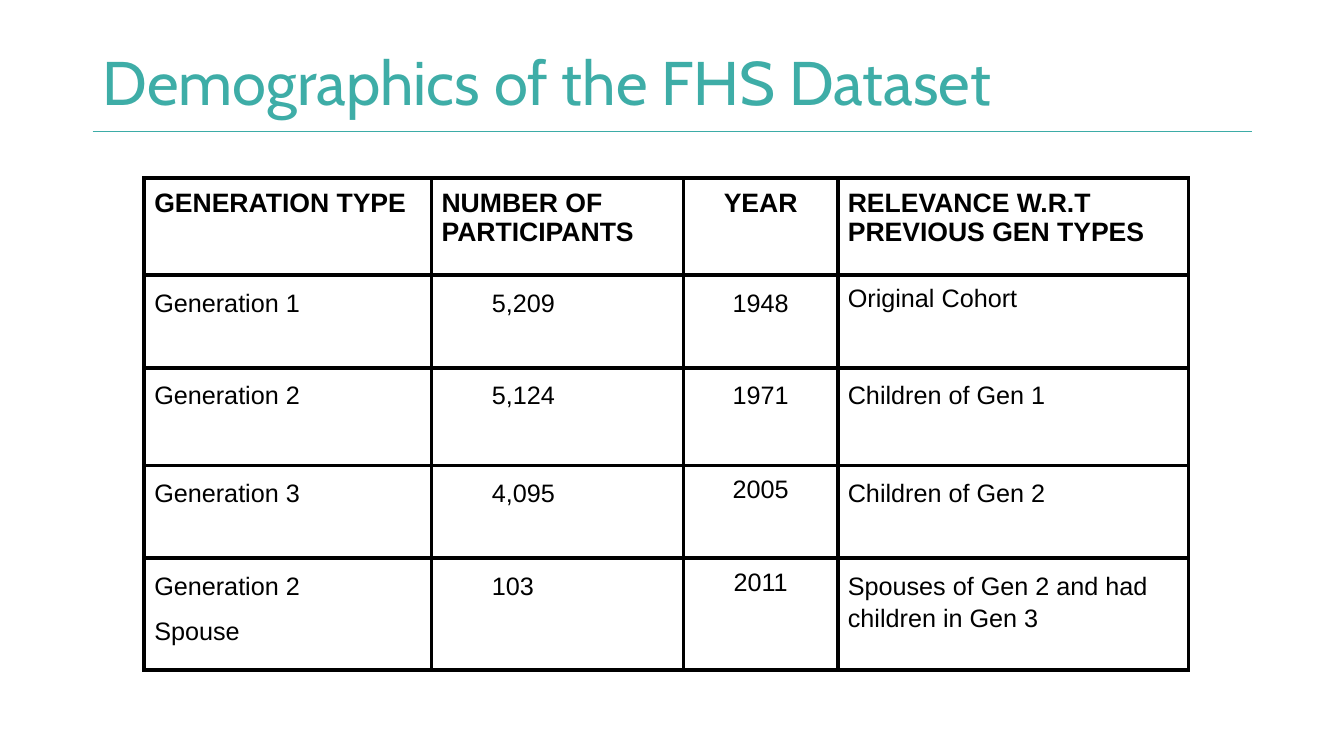
import dataclasses

import lxml.etree
import pptx
import pptx.dml.color
import pptx.enum.shapes
import pptx.enum.text
import pptx.oxml.ns
import pptx.slide
import pptx.table
import pptx.text.text
import pptx.util

Pt = pptx.util.Pt
qn = pptx.oxml.ns.qn
CENTER = pptx.enum.text.PP_ALIGN.CENTER

TEAL = "3EADA7"
RULE_TEAL = "3DACA7"
BLACK = "000000"
COLUMN_WIDTHS = (205.2, 180, 110.2, 250.6)
ROW_HEIGHTS = (69.1, 66.2, 69.8, 66.2, 79.9)
PARTICIPANTS_COLUMN, YEAR_COLUMN = 1, 2


@dataclasses.dataclass(frozen=True)
class Entry:
    lines: tuple[str, ...]
    spaced: bool = True
    heading: bool = False


def heading(text: str) -> Entry:
    return Entry((text,), spaced=False, heading=True)


def spaced(*lines: str) -> Entry:
    return Entry(lines)


def tight(text: str) -> Entry:
    return Entry((text,), spaced=False)


GENERATIONS = (
    (heading("GENERATION TYPE"), heading("NUMBER OF PARTICIPANTS"),
     heading("YEAR"), heading("RELEVANCE W.R.T PREVIOUS GEN TYPES")),
    (spaced("Generation 1"), spaced("5,209"), spaced("1948"), tight("Original Cohort")),
    (spaced("Generation 2"), spaced("5,124"), spaced("1971"), spaced("Children of Gen 1")),
    (spaced("Generation 3"), spaced("4,095"), tight("2005"), spaced("Children of Gen 2")),
    (spaced("Generation 2", "Spouse"), spaced("103"), tight("2011"),
     spaced("Spouses of Gen 2 and had children in Gen 3")),
)


def color(value: str) -> pptx.dml.color.RGBColor:
    return pptx.dml.color.RGBColor.from_string(value)


def add_run(paragraph: pptx.text.text._Paragraph, text: str, font: str,
            size: float, ink: str, bold: bool = False) -> None:
    run = paragraph.add_run()
    run.text = text
    run.font.name = font
    run.font.size = Pt(size)
    run.font.bold = bold
    run.font.color.rgb = color(ink)


def draw_title(slide: pptx.slide.Slide) -> None:
    title = slide.shapes.add_textbox(Pt(66.2), Pt(28.8), Pt(743.8), Pt(64.8))
    frame = title.text_frame
    frame.word_wrap = True
    frame.vertical_anchor = pptx.enum.text.MSO_ANCHOR.MIDDLE
    paragraph = frame.paragraphs[0]
    paragraph.line_spacing = 0.9
    add_run(paragraph, "Demographics of the FHS Dataset", "Cabin", 44, TEAL)


def draw_rule(slide: pptx.slide.Slide) -> None:
    rule = slide.shapes.add_connector(
        pptx.enum.shapes.MSO_CONNECTOR.STRAIGHT, Pt(66.2), Pt(93.6), Pt(894.2), Pt(93.6))
    rule.line.color.rgb = color(RULE_TEAL)
    rule.line.width = Pt(0.75)
    lxml.etree.SubElement(rule._element.spPr, qn("a:effectLst"))


def add_borders(cell: pptx.table._Cell) -> None:
    properties = cell._tc.get_or_add_tcPr()
    for side in ("a:lnL", "a:lnR", "a:lnT", "a:lnB"):
        border = lxml.etree.SubElement(properties, qn(side), w=str(Pt(3)))
        fill = lxml.etree.SubElement(border, qn("a:solidFill"))
        lxml.etree.SubElement(fill, qn("a:srgbClr"), val=BLACK)


def fill_cell(cell: pptx.table._Cell, entry: Entry, column: int) -> None:
    add_borders(cell)
    cell.fill.background()
    cell.margin_left = cell.margin_right = Pt(7.2)
    cell.margin_top = cell.margin_bottom = Pt(7.2)
    frame = cell.text_frame
    for index, line in enumerate(entry.lines):
        paragraph = frame.add_paragraph() if index else frame.paragraphs[0]
        if entry.spaced:
            paragraph.line_spacing = 1.15
            paragraph.space_before = Pt(9)
        if column == YEAR_COLUMN:
            paragraph.alignment = CENTER
        if column == PARTICIPANTS_COLUMN and not entry.heading:
            indent = paragraph._p.get_or_add_pPr()
            indent.set("marL", str(Pt(36)))
            indent.set("indent", "0")
        add_run(paragraph, line, "Arial", 19 if entry.heading else 18, BLACK, entry.heading)


def draw_generations(slide: pptx.slide.Slide) -> None:
    table = slide.shapes.add_table(
        len(ROW_HEIGHTS), len(COLUMN_WIDTHS), Pt(103), Pt(127.4),
        Pt(sum(COLUMN_WIDTHS)), Pt(sum(ROW_HEIGHTS))).table
    table.first_row = False
    table.horz_banding = False
    for column, width in zip(table.columns, COLUMN_WIDTHS):
        column.width = Pt(width)
    for row, height, entries in zip(table.rows, ROW_HEIGHTS, GENERATIONS):
        row.height = Pt(height)
        for index, (cell, entry) in enumerate(zip(row.cells, entries)):
            fill_cell(cell, entry, index)


def main() -> None:
    presentation = pptx.Presentation()
    presentation.slide_width = Pt(960)
    presentation.slide_height = Pt(540)
    slide = presentation.slides.add_slide(presentation.slide_layouts[6])
    draw_rule(slide)
    draw_title(slide)
    draw_generations(slide)
    presentation.save("out.pptx")


if __name__ == "__main__":
    main()
